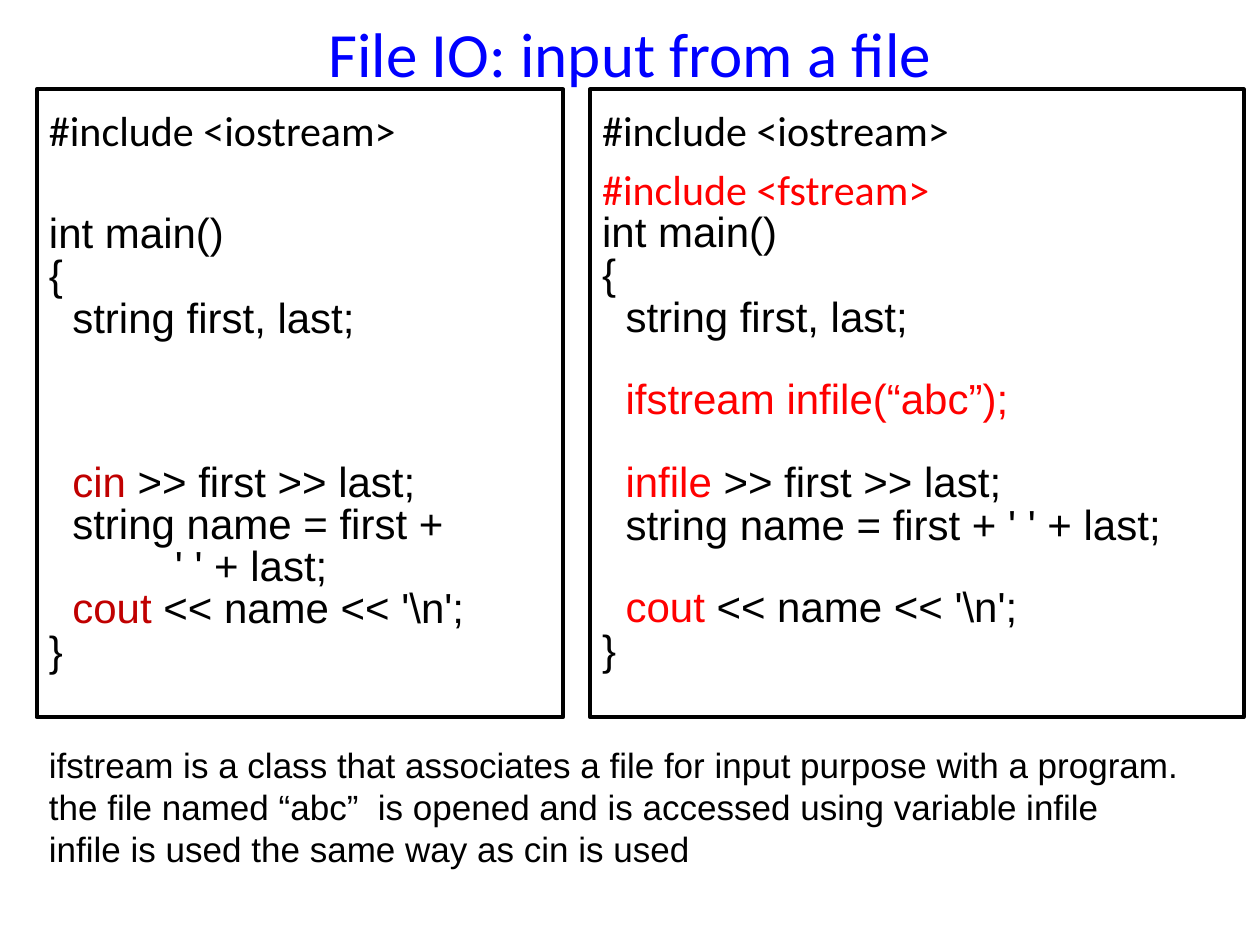
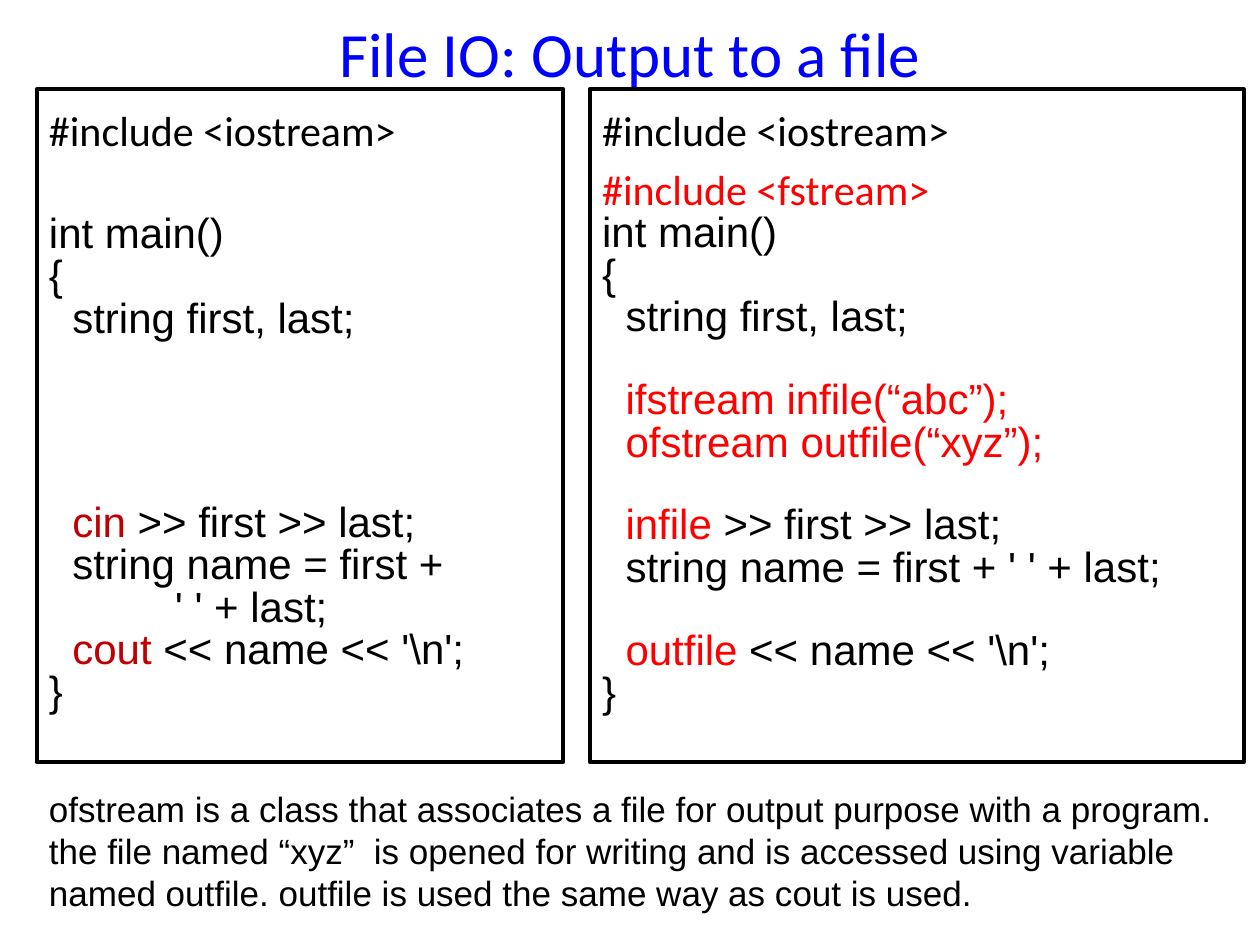
from dataclasses import dataclass

from pptx import Presentation
from pptx.dml.color import RGBColor
from pptx.enum.shapes import MSO_SHAPE as Shape
from pptx.enum.text import MSO_ANCHOR as Anchor, MSO_AUTO_SIZE as AutoSize, PP_ALIGN as Align
from pptx.util import Pt

BLACK = RGBColor(0x00, 0x00, 0x00)
BLUE = RGBColor(0x00, 0x00, 0xFF)
RED = RGBColor(0xFF, 0x00, 0x00)
DARK_RED = RGBColor(0xC0, 0x00, 0x00)

HEADING_FONT, BODY_FONT = "Calibri", "Arial"
TITLE_SIZE, CODE_SIZE, NOTE_SIZE = 36, 24, 20
INCLUDE_SPACING, CODE_SPACING = 1.17, 0.84
INCLUDE_ROW, CODE_ROW = 34.3, 23.17
STATEMENT_INDENT, CONTINUATION_INDENT = 13.34, 72
LEFT_MARGIN, PANEL_TOP = 20.9, 51.1
CONSOLE_WIDTH, FILE_LEFT, FILE_WIDTH = 301, 337, 373.7


@dataclass
class CodeLine:
    """One line of code: a highlighted lead, the rest, its indent and the gap above."""

    rest: str = ""
    lead: str = ""
    indent: float = 0
    gap: float = 0
    is_include: bool = False


def statement(rest="", lead="", blank_rows=0, indent=STATEMENT_INDENT):
    """Return an indented line that follows a number of empty rows."""
    return CodeLine(rest, lead, indent, blank_rows * CODE_ROW)


def main_opening(gap=0):
    """Return the lines that open the program on both sides."""
    return [CodeLine("int main()", gap=gap), CodeLine("{"), statement("string first, last;")]


def console_program(blank_rows):
    """Return the program that reads and writes on the console."""
    return [
        CodeLine("#include <iostream>", is_include=True),
        *main_opening(INCLUDE_ROW),
        statement(" >> first >> last;", "cin", blank_rows),
        statement("string name = first +"),
        statement("' ' + last;", indent=CONTINUATION_INDENT),
        statement(" << name << '\\n';", "cout"),
        CodeLine("}"),
    ]


def file_program(declarations, output):
    """Return the program that works with files."""
    return [
        CodeLine("#include <iostream>", is_include=True),
        CodeLine(lead="#include <fstream>", is_include=True),
        *main_opening(),
        *[statement(lead=text, blank_rows=int(i == 0)) for i, text in enumerate(declarations)],
        statement(" >> first >> last;", "infile", 1),
        statement("string name = first + ' ' + last;"),
        statement(" << name << '\\n';", output, 1),
        CodeLine("}"),
    ]


def style_run(run, font_name, size, color):
    """Set the font of a run."""
    run.font.name = font_name
    run.font.size = Pt(size)
    run.font.color.rgb = color


def add_text(slide, box, lines, font_name, size, color, align=Align.LEFT):
    """Add a wrapped text box with one paragraph per line."""
    frame = slide.shapes.add_textbox(*map(Pt, box)).text_frame
    frame.word_wrap = True
    frame.text = "\n".join(lines)
    for paragraph in frame.paragraphs:
        paragraph.alignment = align
        for run in paragraph.runs:
            style_run(run, font_name, size, color)
    return frame


def add_title(slide, title):
    """Add the centred slide title."""
    frame = add_text(slide, (36, 0.7, 648, 58.3), [title], HEADING_FONT, TITLE_SIZE, BLUE, Align.CENTER)
    frame.vertical_anchor = Anchor.MIDDLE


def add_note(slide, top, width, lines):
    """Add the explanation below the panels."""
    frame = add_text(slide, (LEFT_MARGIN, top, width, 79.2), lines, BODY_FONT, NOTE_SIZE, BLACK)
    frame.auto_size = AutoSize.SHAPE_TO_FIT_TEXT


def write_code_line(paragraph, line, lead_color):
    """Write one code line into a paragraph."""
    paragraph.alignment = Align.LEFT
    paragraph.line_spacing = INCLUDE_SPACING if line.is_include else CODE_SPACING
    paragraph.space_before = Pt(line.gap)
    paragraph._p.get_or_add_pPr().set("marL", str(int(Pt(line.indent))))
    font_name = HEADING_FONT if line.is_include else BODY_FONT
    for text, color in ((line.lead, lead_color), (line.rest, BLACK)):
        if text:
            run = paragraph.add_run()
            run.text = text
            style_run(run, font_name, CODE_SIZE, color)


def add_code_panel(slide, left, width, height, program, lead_color):
    """Add an outlined panel with a program in it."""
    panel = slide.shapes.add_shape(Shape.RECTANGLE, Pt(left), Pt(PANEL_TOP), Pt(width), Pt(height))
    panel.shadow.inherit = False
    panel.fill.background()
    panel.line.color.rgb = BLACK
    panel.line.width = Pt(2.25)
    frame = panel.text_frame
    frame.word_wrap = True
    frame.vertical_anchor = Anchor.TOP
    for i, line in enumerate(program):
        paragraph = frame.add_paragraph() if i else frame.paragraphs[0]
        write_code_line(paragraph, line, lead_color)


def add_comparison(deck, title, panel_height, declarations, output, note_top, note_width, note):
    """Add a slide that sets console code beside file code."""
    slide = deck.slides.add_slide(deck.slide_layouts[6])
    add_title(slide, title)
    console = console_program(len(declarations) + 2)
    add_code_panel(slide, LEFT_MARGIN, CONSOLE_WIDTH, panel_height, console, DARK_RED)
    files = file_program(declarations, output)
    add_code_panel(slide, FILE_LEFT, FILE_WIDTH, panel_height, files, RED)
    add_note(slide, note_top, note_width, note)


def main():
    """Build and save the deck."""
    deck = Presentation()
    deck.slide_width, deck.slide_height = Pt(720), Pt(540)
    infile = "ifstream infile(“abc”);"
    outfile = "ofstream outfile(“xyz”);"
    add_comparison(
        deck, "File IO: input from a file", 358.6, [infile], "cout", 421.2, 663.1,
        [
            "ifstream is a class that associates a file for input purpose with a program.",
            "the file named “abc”  is opened and is accessed using variable infile",
            "infile is used the same way as cin is used",
        ],
    )
    add_comparison(
        deck, "File IO: Output to a file", 384.5, [infile, outfile], "outfile", 446.4, 681.1,
        [
            "ofstream is a class that associates a file for output purpose with a program.",
            "the file named “xyz”  is opened for writing and is accessed using variable "
            "named outfile. outfile is used the same way as cout is used.",
        ],
    )
    deck.save("out.pptx")


if __name__ == "__main__":
    main()
